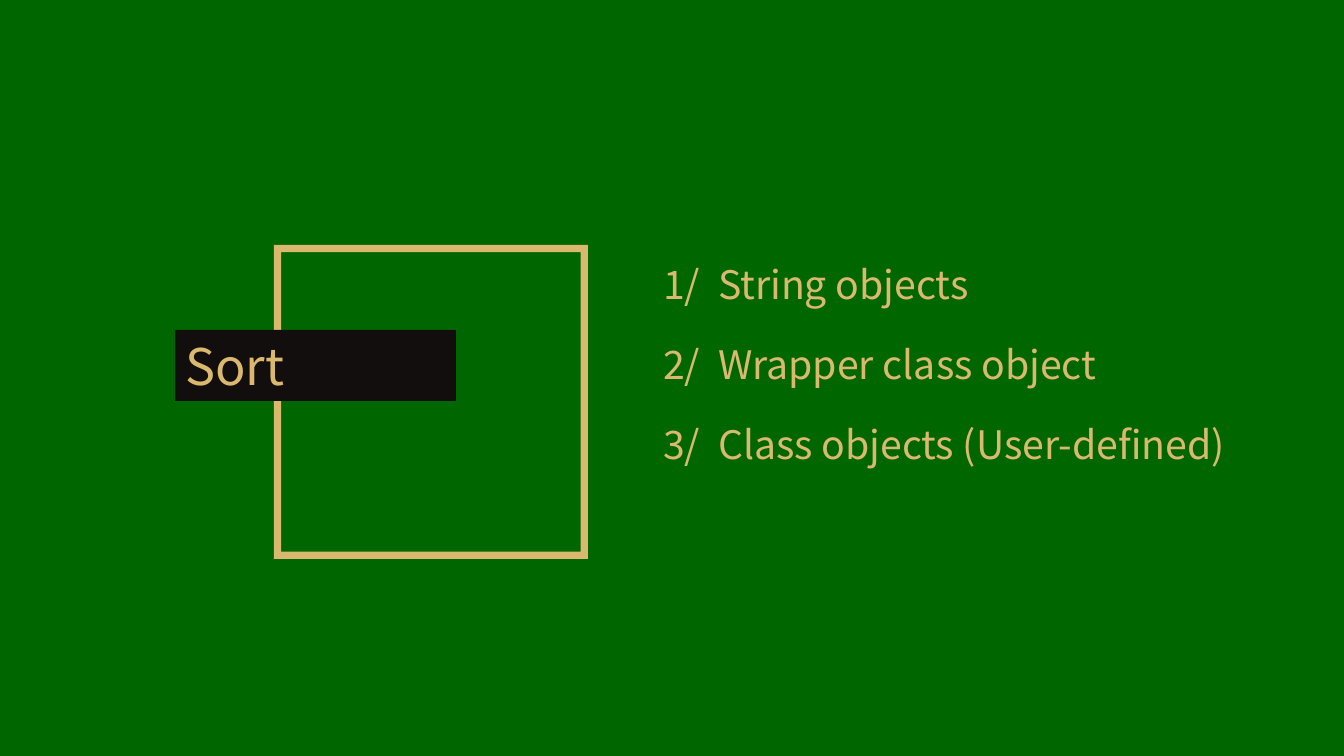
from typing import NamedTuple

from pptx import Presentation
from pptx.dml.color import RGBColor
from pptx.enum.shapes import MSO_SHAPE as Preset
from pptx.enum.text import MSO_ANCHOR as Anchor, MSO_AUTO_SIZE as AutoSize, PP_ALIGN as Align
from pptx.util import Emu, Pt

PX_PER_INCH = 100.8
FONT = "Noto Sans CJK SC"
GREEN, GOLD, BLACK = "006600", "DAB96E", "120E0D"
LIST_INDENT = 55
SORTABLE = ["String objects", "Wrapper class object", "Class objects (User-defined)"]


class Box(NamedTuple):
    left: int
    top: int
    width: int
    height: int


FRAME_BOX = Box(274, 245, 314, 314)
TITLE_BOX = Box(175, 330, 281, 71)
LIST_BOX = Box(653, 245, 673, 237)


def px(length: int) -> Emu:
    return Emu(round(length * 914400 / PX_PER_INCH))


def paint(fill, colour: str) -> None:
    fill.solid()
    fill.fore_color.rgb = RGBColor.from_string(colour)


def place(shape, box: Box) -> None:
    shape.left, shape.top, shape.width, shape.height = map(px, box)


def write(placeholder, box: Box, lines: list[str], size: int) -> None:
    """Fill a placeholder with gold paragraphs, centred vertically in the box."""
    place(placeholder, box)
    frame = placeholder.text_frame
    frame.text = "\n".join(lines)
    frame.auto_size = AutoSize.NONE
    frame.word_wrap = True
    frame.vertical_anchor = Anchor.MIDDLE
    for para in frame.paragraphs:
        para.alignment = Align.JUSTIFY
        para.space_before = Pt(0)
        para.font.name = FONT
        para.font.size = Pt(size)
        para.font.color.rgb = RGBColor.from_string(GOLD)


def hang_numbers(paragraphs) -> None:
    """Replace bullets by a hanging indent and space the items evenly."""
    for position, para in enumerate(paragraphs):
        para.space_before = Pt(23.5 if position else 0)
        properties = para._p.get_or_add_pPr()
        properties.set("marL", str(px(LIST_INDENT)))
        properties.set("indent", str(-px(LIST_INDENT)))
        bullet = properties.makeelement(
            "{http://schemas.openxmlformats.org/drawingml/2006/main}buNone", {})
        properties.find("{*}defRPr").addprevious(bullet)


def main() -> None:
    deck = Presentation()
    deck.slide_width, deck.slide_height = px(1344), px(756)
    page = deck.slides.add_slide(deck.slide_layouts[1])
    paint(page.background.fill, GREEN)
    title, body = page.placeholders

    frame = page.shapes.add_shape(Preset.FRAME, *map(px, FRAME_BOX))
    frame.adjustments[0] = 0.023
    frame.shadow.inherit = False
    frame.line.fill.background()
    paint(frame.fill, GOLD)
    title._element.addprevious(frame._element)

    write(title, TITLE_BOX, ["Sort"], 36)
    paint(title.fill, BLACK)

    items = [f"{number}/\t{name}" for number, name in enumerate(SORTABLE, 1)]
    write(body, LIST_BOX, items, 28)
    hang_numbers(body.text_frame.paragraphs)

    deck.save("out.pptx")


if __name__ == "__main__":
    main()
